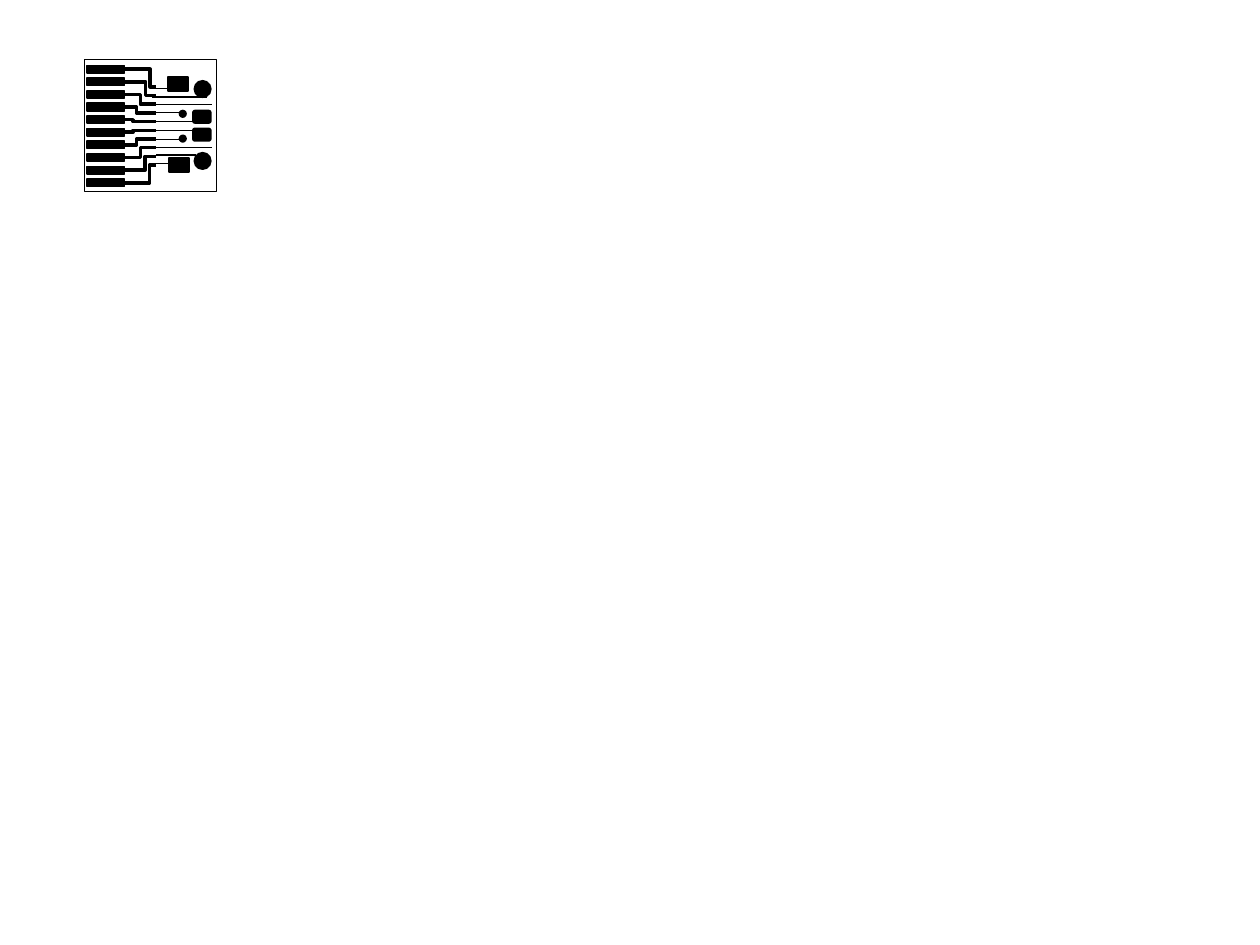
from dataclasses import dataclass

from lxml import etree
from pptx import Presentation
from pptx.dml.color import RGBColor
from pptx.enum.shapes import MSO_CONNECTOR, MSO_SHAPE
from pptx.oxml.ns import qn
from pptx.util import Cm, Pt

RECTANGLE = MSO_SHAPE.RECTANGLE
ROUNDED = MSO_SHAPE.ROUNDED_RECTANGLE
OVAL = MSO_SHAPE.OVAL
STRAIGHT = MSO_CONNECTOR.STRAIGHT
ELBOW = MSO_CONNECTOR.ELBOW
RIGHT_SIDE = 3
BLANK_LAYOUT = 6


@dataclass(frozen=True)
class Theme:
    metal: RGBColor = RGBColor(0, 0, 0)
    substrate: RGBColor = RGBColor(255, 255, 255)
    border: float = 0.25
    fine: float = 0.5
    outline: float = 1
    lead: float = 2


class ChipDrawing:
    """Draws the elements of an electrode chip; all lengths are in centimetres."""

    def __init__(self, slide, theme):
        self.slide = slide
        self.theme = theme
        self.chip = slide.shapes.add_group_shape()

    def add_block(self, kind, left, top, width, height, fill=None, line=None, shapes=None):
        shapes = self.chip.shapes if shapes is None else shapes
        shape = shapes.add_shape(kind, Cm(left), Cm(top), Cm(width), Cm(height))
        shape.shadow.inherit = False
        shape.fill.solid()
        shape.fill.fore_color.rgb = fill or self.theme.metal
        shape.line.color.rgb = self.theme.metal
        shape.line.width = Pt(line or self.theme.outline)
        return shape

    def add_connector(self, kind, start, end, width):
        points = [Cm(value) for value in (*start, *end)]
        connector = self.chip.shapes.add_connector(kind, *points)
        connector.line.color.rgb = self.theme.metal
        connector.line.width = Pt(width)
        etree.SubElement(connector._element.spPr, qn("a:effectLst"))
        return connector

    def add_trace(self, start, end, width=None):
        return self.add_connector(STRAIGHT, start, end, width or self.theme.fine)

    def add_lead(self, pad, start, end, bend):
        """Elbow from a pad; bend is the share of the width before the turn."""
        connector = self.add_connector(ELBOW, start, end, self.theme.lead)
        connector.begin_connect(pad, RIGHT_SIDE)
        geometry = connector._element.spPr.find(qn("a:prstGeom"))
        guides = geometry.find(qn("a:avLst"))
        if guides is None:
            guides = etree.SubElement(geometry, qn("a:avLst"))
        etree.SubElement(guides, qn("a:gd"), name="adj1",
                         fmla=f"val {round(bend * 100000)}")


# Contact pads and their leads
PAD_LEFT, PAD_TOP, PAD_WIDTH, PAD_HEIGHT = 1.75, 1.32, 0.76, 0.15
PAD_PITCH = 2.29 / 9
LEAD_END, LEAD_TOP = 3.15, 1.75
LEAD_PITCH = 1.58 / 9
BENDS = [0.81, 0.67, 0.5, 0.38, 0.27, 0.27, 0.38, 0.5, 0.65, 0.79]

# Right end of the fine trace that continues each inner lead
TRACE_ENDS = {2: 4.27, 3: 3.61, 4: 3.89, 5: 3.89, 6: 3.61, 7: 4.27}


def draw_chip(drawing):
    theme = drawing.theme

    # Board
    drawing.add_block(RECTANGLE, 1.7, 1.19, 2.67, 2.67, theme.substrate, theme.border)

    # Pads, leads and inner traces
    for index, bend in enumerate(BENDS):
        pad_top = PAD_TOP + index * PAD_PITCH
        pad = drawing.add_block(RECTANGLE, PAD_LEFT, pad_top, PAD_WIDTH, PAD_HEIGHT)
        start = (PAD_LEFT + PAD_WIDTH, pad_top + PAD_HEIGHT / 2)
        end = (LEAD_END, LEAD_TOP + index * LEAD_PITCH)
        drawing.add_lead(pad, start, end, bend)
        if index in TRACE_ENDS:
            drawing.add_trace(end, (TRACE_ENDS[index], end[1]))

    # Outer traces
    drawing.add_trace((3.12, 1.78), (3.43, 1.78))
    drawing.add_trace((3.07, 1.95), (4.17, 1.95), theme.outline)
    drawing.add_trace((3.15, 3.12), (3.96, 3.12), theme.outline)
    drawing.add_trace((3.1, 3.3), (3.43, 3.3))

    # Electrodes in upper and lower pairs
    for top in (2.23, 2.59):
        drawing.add_block(ROUNDED, 3.89, top, 0.36, 0.25)
    for top in (2.23, 2.73):
        drawing.add_block(OVAL, 3.62, top, 0.13, 0.13)
    for top in (1.63, 3.08):
        drawing.add_block(OVAL, 3.92, top, 0.33, 0.33)
    drawing.add_block(RECTANGLE, 3.41, 3.19, 0.4, 0.28)

    # The upper square electrode stands outside the group
    drawing.add_block(RECTANGLE, 3.39, 1.55, 0.4, 0.28, shapes=drawing.slide.shapes)


def main():
    presentation = Presentation()
    presentation.slide_width = Cm(25.4)
    presentation.slide_height = Cm(19.05)
    slide = presentation.slides.add_slide(presentation.slide_layouts[BLANK_LAYOUT])
    draw_chip(ChipDrawing(slide, Theme()))
    presentation.save("out.pptx")


if __name__ == "__main__":
    main()
